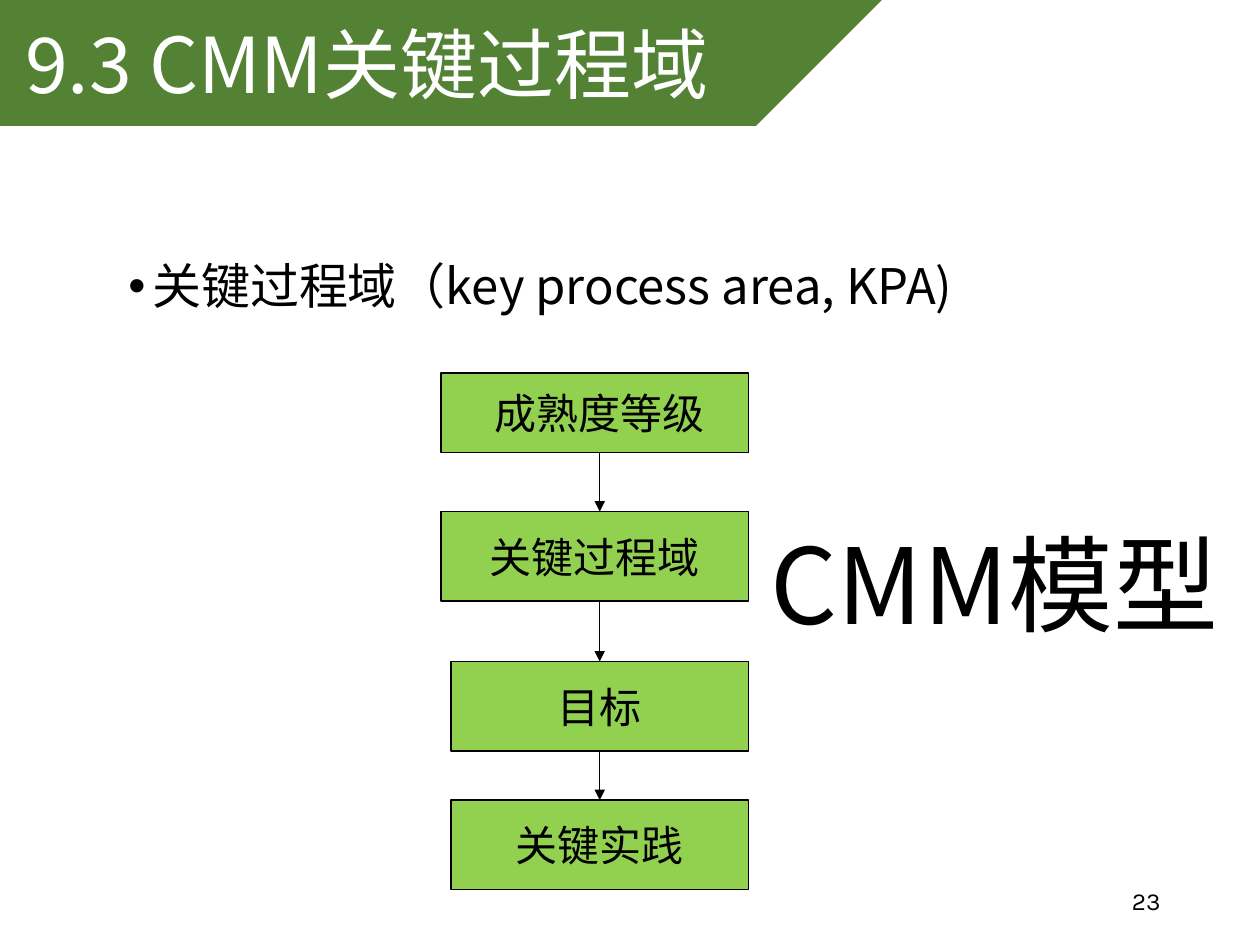
from lxml import etree
from pptx import Presentation
from pptx.dml.color import RGBColor
from pptx.enum.shapes import MSO_CONNECTOR as CONN, MSO_SHAPE as SHAPE
from pptx.enum.text import MSO_ANCHOR as ANCHOR, PP_ALIGN as ALIGN
from pptx.oxml.ns import qn
from pptx.util import Inches, Pt

CJK, LATIN = "Noto Sans CJK SC", "Karla"
BLACK, WHITE, GREEN, BANNER = "000000", "FFFFFF", "92D050", "548235"
RIGHT, AXIS = 5.94, 4.76
# label, left, top, height, left inset
BOXES = [
    ("成熟度等级", 3.5, 2.96, 0.63, 0.17),
    ("关键过程域", 3.5, 4.06, 0.71, 0.1),
    ("目标", 3.58, 5.25, 0.71, 0.1),
    ("关键实践", 3.58, 6.35, 0.71, 0.1),
]


def rgb(value):
    return RGBColor.from_string(value)


def set_attrs(target, values):
    for name, value in values.items():
        setattr(target, name, value)


def write(sp, text, size, font=CJK, color=BLACK, align=ALIGN.LEFT,
          anchor=ANCHOR.MIDDLE, insets=(0.1, 0.05, 0.1, 0.05), wrap=True):
    """Put one formatted paragraph in a shape and return it."""
    tf = sp.text_frame
    left, top, right, bottom = map(Inches, insets)
    set_attrs(tf, {"word_wrap": wrap, "vertical_anchor": anchor,
                   "margin_left": left, "margin_top": top,
                   "margin_right": right, "margin_bottom": bottom})
    p = tf.paragraphs[0]
    p.alignment = align
    r = p.add_run()
    r.text = text
    set_attrs(r.font, {"size": Pt(size), "name": font})
    r.font.color.rgb = rgb(color)
    etree.SubElement(r._r.get_or_add_rPr(), qn("a:ea"), typeface=CJK)
    return p


def add_text(s, at, text, size, **fmt):
    return write(s.shapes.add_textbox(*map(Inches, at)), text, size, **fmt)


def add_bullet(p, indent):
    pPr = p._p.get_or_add_pPr()
    pPr.set("marL", str(Inches(indent)))
    pPr.set("indent", str(-Inches(indent)))
    etree.SubElement(pPr, qn("a:buFont"), typeface="Arial")
    etree.SubElement(pPr, qn("a:buChar"), char="•")


def add_box(s, label, left, top, height, inset):
    sp = s.shapes.add_shape(SHAPE.RECTANGLE, *map(Inches, (left, top, RIGHT - left, height)))
    sp.shadow.inherit = False
    sp.fill.solid()
    sp.fill.fore_color.rgb = rgb(GREEN)
    sp.line.color.rgb = rgb(BLACK)
    sp.line.width = Pt(0.75)
    write(sp, label, 24, font=LATIN, align=ALIGN.CENTER,
          insets=(inset, 0.05, 0.1, 0.05), wrap=False)


def add_arrow(s, start, end):
    """Draw a downward arrow on the chart's axis."""
    line = s.shapes.add_connector(CONN.STRAIGHT, *map(Inches, (AXIS, start, AXIS, end)))
    line.line.color.rgb = rgb(BLACK)
    line.line.width = Pt(0.75)
    etree.SubElement(line.line._get_or_add_ln(), qn("a:tailEnd"), type="triangle")
    etree.SubElement(line._element.spPr, qn("a:effectLst"))


def add_banner(s, text):
    points = [(6.65, 0), (5.99, 0.68), (0, 0.68)]
    builder = s.shapes.build_freeform(0, 0, scale=Inches(1))
    builder.add_line_segments(points, close=True)
    sp = builder.convert_to_shape()
    sp.shadow.inherit = False
    sp.fill.solid()
    sp.fill.fore_color.rgb = rgb(BANNER)
    sp.line.fill.background()
    write(sp, text, 44, color=WHITE, insets=(0.2, 0, 0, 0))


def main():
    prs = Presentation()
    set_attrs(prs, {"slide_width": Inches(10), "slide_height": Inches(7.5)})
    s = prs.slides.add_slide(prs.slide_layouts[6])

    title = add_text(s, (6.02, 4.06, 3.98, 1.25), "CMM模型", 60, insets=(0.1, 0, 0, 0))
    body = add_text(s, (0.92, 2.08, 7.79, 0.6), "关键过程域（key process area, KPA)", 28,
                    anchor=ANCHOR.TOP, insets=(0.1, 0, 0.1, 0))
    for p in (title, body):
        p.line_spacing = 0.9
    add_bullet(body, 0.19)
    add_text(s, (7.06, 6.95, 2.25, 0.4), "23", 14, font=LATIN, align=ALIGN.RIGHT)

    for box in BOXES:
        add_box(s, *box)
    for (_, _, top, height, _), (_, _, below, _, _) in zip(BOXES, BOXES[1:]):
        add_arrow(s, top + height, below)
    add_banner(s, "9.3 CMM关键过程域")
    prs.save("out.pptx")


if __name__ == "__main__":
    main()
